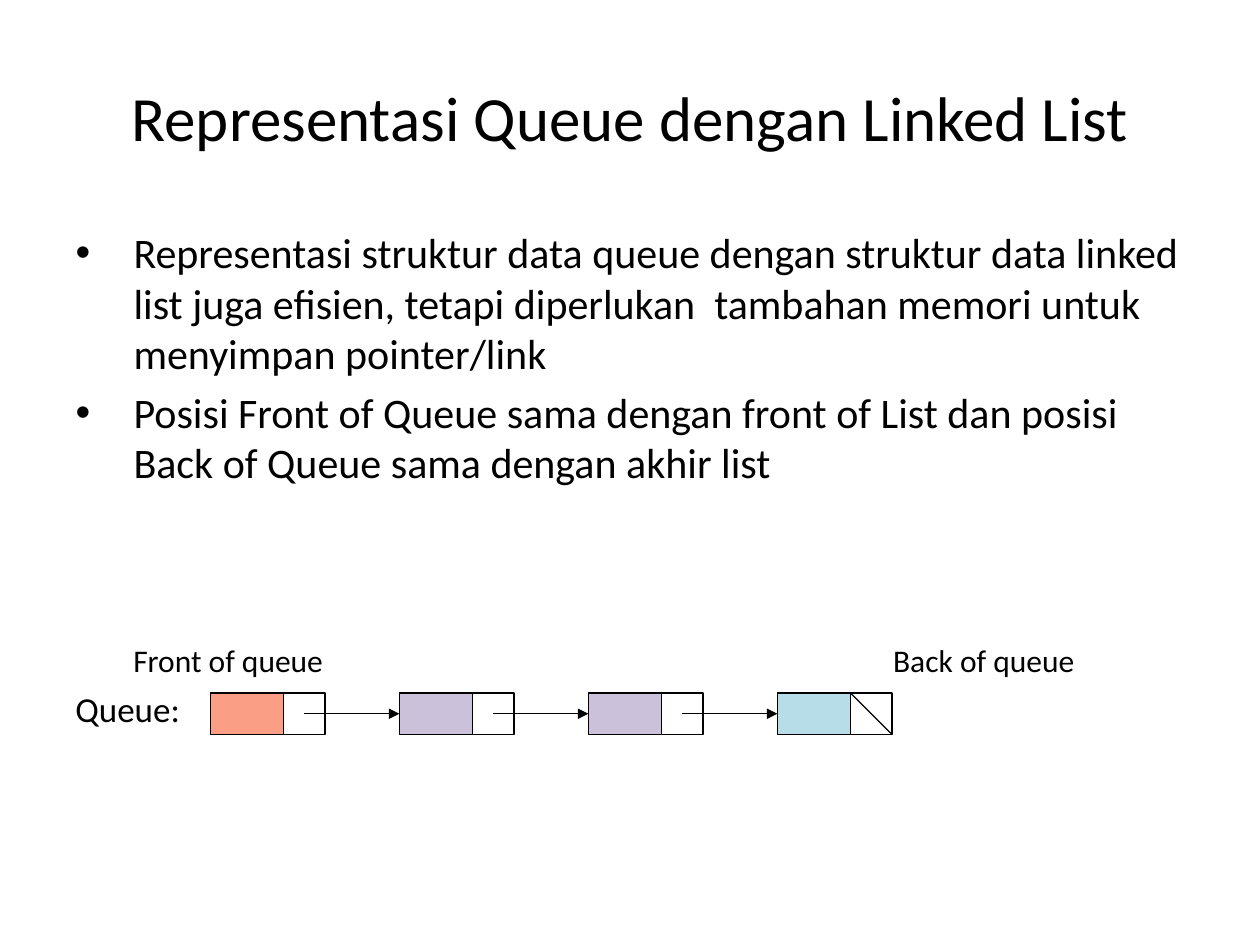
from lxml import etree
from pptx import Presentation
from pptx import util as u
from pptx.dml.color import RGBColor
from pptx.enum import shapes, text
from pptx.oxml.ns import qn

Inches = u.Inches


def paint(part, code):
    part.solid()
    part.fore_color.rgb = RGBColor.from_string(code)


def style(para, size, align):
    form = {"name": "Calibri", "size": u.Pt(size), "bold": False}
    for key, val in form.items():
        setattr(para.font, key, val)
    paint(para.font.fill, "000000")
    para.alignment = align


left = text.PP_ALIGN.LEFT
deck = Presentation()
deck.slide_width, deck.slide_height = Inches(10), Inches(7.5)
slide = deck.slides.add_slide(deck.slide_layouts[1])
paint(slide.background.fill, "FFFFFF")

title, body = slide.placeholders
places = [(title, 0.3, 1.25, text.MSO_ANCHOR.MIDDLE),
          (body, 1.75, 3, text.MSO_ANCHOR.TOP)]
for box, top, high, anchor in places:
    form = {"left": 0.5, "top": top, "width": 9, "height": high}
    for key, val in form.items():
        setattr(box, key, Inches(val))
    box.text_frame.auto_size = text.MSO_AUTO_SIZE.NONE
    box.text_frame.vertical_anchor = anchor

title.text_frame.text = "Representasi Queue dengan Linked List"
style(title.text_frame.paragraphs[0], 36, text.PP_ALIGN.CENTER)

points = [
    "Representasi struktur data queue dengan struktur data linked list juga "
    "efisien, tetapi diperlukan  tambahan memori untuk menyimpan pointer/link",
    "Posisi Front of Queue sama dengan front of List dan posisi Back of Queue "
    "sama dengan akhir list",
]
body.text_frame.text = "\n".join(points)
for i, para in enumerate(body.text_frame.paragraphs):
    props = para._p.get_or_add_pPr()
    props.set("marL", str(Inches(0.46)))
    props.set("indent", str(-Inches(0.46)))
    etree.SubElement(props, qn("a:buChar"), char="•")
    para.space_before = u.Pt(4.8 * i)
    style(para, 24, left)

labels = [("Front of queue", 0.96, 5.04, 2, 18),
          ("Back of queue", 6.99, 5.04, 2, 18),
          ("Queue:", 0.5, 5.41, 1.1, 20)]
for word, x, y, wide, size in labels:
    box = slide.shapes.add_textbox(Inches(x), Inches(y), Inches(wide), Inches(0.42))
    box.text_frame.word_wrap = True
    box.text_frame.text = word
    style(box.text_frame.paragraphs[0], size, left)

start, step, top, data, link = 1.67, 1.5, 5.5, 0.58, 0.33
mid = top + link / 2
fills = ["FA9F86", "CCC1DA", "CCC1DA", "B7DEE8"]
for i, fill in enumerate(fills):
    x = start + i * step
    for at, wide, code in [(x, data, fill), (x + data, link, "FFFFFF")]:
        cell = slide.shapes.add_shape(
            shapes.MSO_SHAPE.RECTANGLE,
            Inches(at), Inches(top), Inches(wide), Inches(link))
        cell.shadow.inherit = False
        paint(cell.fill, code)
        paint(cell.line.fill, "000000")
        cell.line.width = u.Pt(0.75)

for i in range(len(fills)):
    x = start + i * step + data
    last = i == len(fills) - 1
    ends = (x, top, x + link, top + link) if last else (
        x + link / 2, mid, x + step - data, mid)
    line = slide.shapes.add_connector(
        shapes.MSO_CONNECTOR.STRAIGHT, *[Inches(end) for end in ends])
    paint(line.line.fill, "000000")
    line.line.width = u.Pt(0.75)
    if not last:
        etree.SubElement(line.line._get_or_add_ln(), qn("a:tailEnd"), type="triangle")
    etree.SubElement(line._element.spPr, qn("a:effectLst"))

deck.save("out.pptx")
